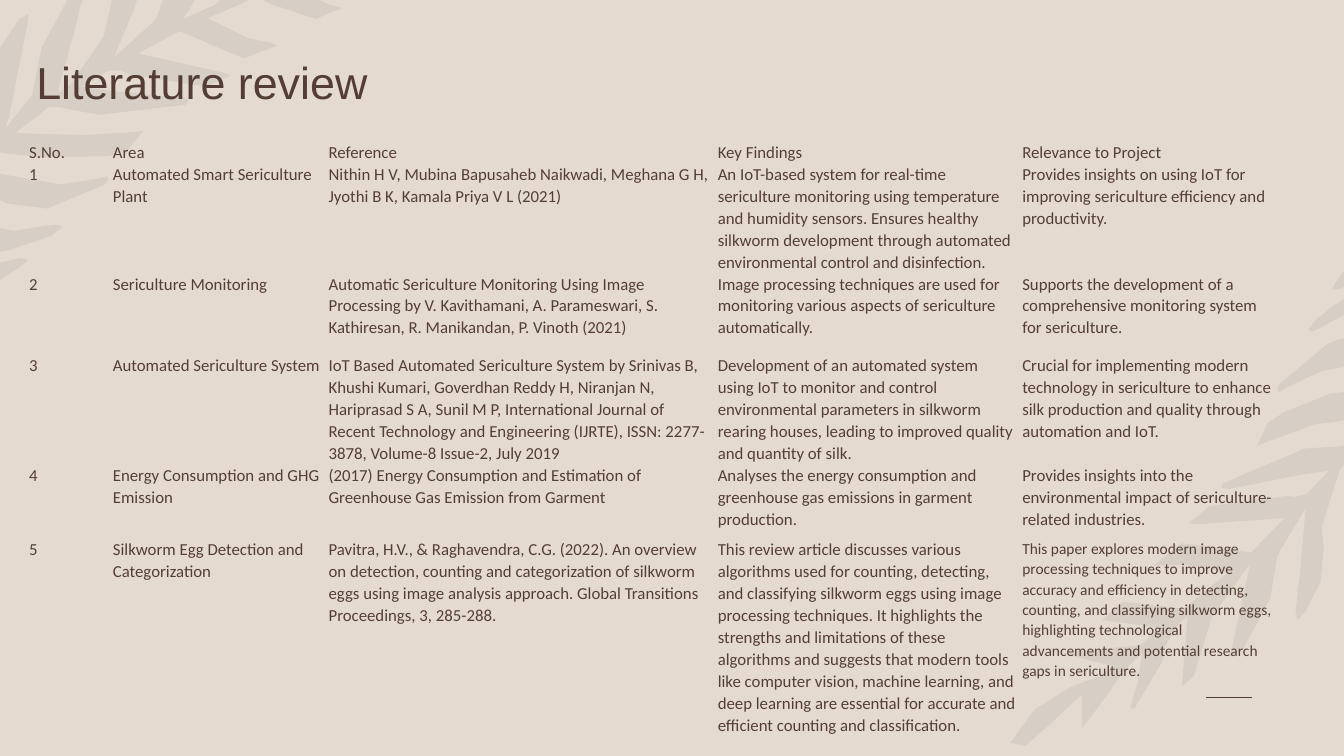
import dataclasses

import pptx
import pptx.dml.color
import pptx.enum.shapes
import pptx.enum.text
import pptx.oxml
import pptx.oxml.ns
import pptx.util


@dataclasses.dataclass(frozen=True)
class Theme:
    background: str = "E5DACF"
    ink: str = "543E34"
    leaf: str = "5D6A76"
    leaf_opacity: int = 10
    title_font: str = "Arial"
    body_font: str = "Calibri"
    title_size: int = 32
    body_size: int = 12
    small_size: int = 11
    rule_width: float = 1.25


THEME = Theme()
NO_STYLE_NO_GRID = "{2D5ABB26-0587-4C30-8999-92F81FD0307C}"

# Leaf outlines: x,y anchors in hundredths of an inch on the slide
TOP_LEFT_LEAVES = [
    "19,256 28,258 20,265 1,277 0,277 0,260 3,260",
    "56,223 60,224 61,226 51,234 9,248 0,250 0,226 13,229 53,223",
    "0,172 3,173 15,175 60,183 99,177 107,175 107,179 104,183 47,207 7,202 0,199",
    "262,0 316,0 325,4 339,8 313,19 263,2",
    "66,0 82,0 79,9 76,23 58,88 59,91 70,84 103,36 108,14 111,0 136,0 133,9 113,57 154,20 162,0 "
    "193,0 188,9 181,19 213,5 218,0 247,0 232,7 206,18 246,38 266,42 275,45 242,58 178,31 137,53 "
    "163,59 221,72 229,75 204,86 128,74 120,70 108,70 81,86 109,90 181,97 188,99 184,104 98,114 "
    "56,106 49,106 15,132 82,134 136,131 142,130 127,149 108,155 39,156 5,152 0,151 0,48 1,46 "
    "19,19 28,14 28,19 19,66 9,116 5,128 32,94 41,48 66,1",
]
BOTTOM_RIGHT_LEAVES = [
    "1333,442 1333,461 1329,466 1311,522 1313,543 1310,577 1295,606 1287,615 1285,607 1289,572 "
    "1295,504 1267,551 1260,593 1233,644 1220,651 1240,559 1202,612 1184,671 1172,681 1175,647 "
    "1178,611 1170,618 1155,642 1153,656 1125,703 1121,702 1128,678 1133,648 1116,664 1094,695 "
    "1073,723 1073,689 1043,717 1017,740 1002,737 1026,704 1063,681 1090,671 1104,661 1053,648 "
    "1131,640 1151,623 1093,615 1114,597 1174,604 1218,568 1174,560 1153,561 1144,561 1172,539 "
    "1241,548 1274,514 1247,516 1188,520 1179,519 1200,502 1277,492 1285,493 1296,490 1318,467 "
    "1290,471 1220,485 1211,484 1214,479 1294,445 1326,443",
    "1333,389 1333,417 1321,419 1304,421 1252,440 1247,442 1257,420 1273,409 1321,390",
    "1333,336 1333,364 1311,368 1275,385 1268,389 1267,385 1269,381 1317,341 1330,336",
    "1333,297 1333,313 1332,313 1306,327 1300,329 1298,327 1305,317 1323,303",
    "1333,269 1333,284 1329,287 1321,287 1326,278",
]

COLUMN_WIDTHS = [0.83, 2.14, 3.86, 3.02, 2.59]
ROW_HEIGHTS = [0.2, 1.01, 0.81, 1.01, 0.74, 2.02]
REVIEW = [
    ("S.No.", "Area", "Reference", "Key Findings", "Relevance to Project"),
    ("1", "Automated Smart Sericulture Plant",
     "Nithin H V, Mubina Bapusaheb Naikwadi, Meghana G H, Jyothi B K, Kamala Priya V L (2021)",
     "An IoT-based system for real-time sericulture monitoring using temperature and humidity sensors. "
     "Ensures healthy silkworm development through automated environmental control and disinfection.",
     "Provides insights on using IoT for improving sericulture efficiency and productivity."),
    ("2", "Sericulture Monitoring",
     "Automatic Sericulture Monitoring Using Image Processing by V. Kavithamani, A. Parameswari, "
     "S. Kathiresan, R. Manikandan, P. Vinoth (2021)",
     "Image processing techniques are used for monitoring various aspects of sericulture automatically.",
     "Supports the development of a comprehensive monitoring system for sericulture."),
    ("3", "Automated Sericulture System",
     "IoT Based Automated Sericulture System by Srinivas B, Khushi Kumari, Goverdhan Reddy H, "
     "Niranjan N, Hariprasad S A, Sunil M P, International Journal of Recent Technology and "
     "Engineering (IJRTE), ISSN: 2277-3878, Volume-8 Issue-2, July 2019",
     "Development of an automated system using IoT to monitor and control environmental parameters "
     "in silkworm rearing houses, leading to improved quality and quantity of silk.",
     "Crucial for implementing modern technology in sericulture to enhance silk production and "
     "quality through automation and IoT."),
    ("4", "Energy Consumption and GHG Emission",
     "(2017) Energy Consumption and Estimation of Greenhouse Gas Emission from Garment",
     "Analyses the energy consumption and greenhouse gas emissions in garment production.",
     "Provides insights into the environmental impact of sericulture-related industries."),
    ("5", "Silkworm Egg Detection and Categorization",
     "Pavitra, H.V., & Raghavendra, C.G. (2022). An overview on detection, counting and categorization "
     "of silkworm eggs using image analysis approach. Global Transitions Proceedings, 3, 285-288.",
     "This review article discusses various algorithms used for counting, detecting, and classifying "
     "silkworm eggs using image processing techniques. It highlights the strengths and limitations of "
     "these algorithms and suggests that modern tools like computer vision, machine learning, and deep "
     "learning are essential for accurate and efficient counting and classification.",
     "This paper explores modern image processing techniques to improve accuracy and efficiency in "
     "detecting, counting, and classifying silkworm eggs, highlighting technological advancements and "
     "potential research gaps in sericulture."),
]


def inches(*lengths):
    return [pptx.util.Inches(length) for length in lengths]


def rgb(code):
    return pptx.dml.color.RGBColor.from_string(code)


def format_runs(paragraph, font_name, size):
    for run in paragraph.runs:
        run.font.name = font_name
        run.font.size = pptx.util.Pt(size)
        run.font.color.rgb = rgb(THEME.ink)


def add_leaves(slide, outlines):
    contours = [[tuple(map(int, anchor.split(","))) for anchor in outline.split()] for outline in outlines]
    builder = slide.shapes.build_freeform(*contours[0][0], scale=pptx.util.Inches(0.01))
    for index, contour in enumerate(contours):
        if index:
            builder.move_to(*contour[0])
        builder.add_line_segments(contour[1:], close=True)
    leaves = builder.convert_to_shape()
    leaves.shadow.inherit = False
    leaves.line.fill.background()
    leaves.fill.solid()
    leaves.fill.fore_color.rgb = rgb(THEME.leaf)
    color = leaves.element.xpath(".//p:spPr/a:solidFill/a:srgbClr")[0]
    alpha = pptx.oxml.parse_xml(f'<a:alpha {pptx.oxml.ns.nsdecls("a")} val="{THEME.leaf_opacity * 1000}"/>')
    color.append(alpha)


def add_corner_rule(slide, left, top, width):
    rule = slide.shapes.add_connector(pptx.enum.shapes.MSO_CONNECTOR.STRAIGHT,
                                      *inches(left, top, left + width, top))
    rule.line.color.rgb = rgb(THEME.ink)
    rule.line.width = pptx.util.Pt(THEME.rule_width)
    no_effects = pptx.oxml.parse_xml(f'<a:effectLst {pptx.oxml.ns.nsdecls("a")}/>')
    rule.element.spPr.append(no_effects)


def place_title(slide, left, top, width, height):
    title = slide.shapes.title
    title.left, title.top, title.width, title.height = inches(left, top, width, height)
    title.element.getparent().append(title.element)  # in front of the leaves
    frame = title.text_frame
    frame.text = "Literature review"
    frame.auto_size = pptx.enum.text.MSO_AUTO_SIZE.NONE
    frame.vertical_anchor = pptx.enum.text.MSO_ANCHOR.BOTTOM
    heading = frame.paragraphs[0]
    heading.alignment = pptx.enum.text.PP_ALIGN.LEFT
    heading.line_spacing = 0.9
    format_runs(heading, THEME.title_font, THEME.title_size)


def fill_cell(cell, wording, size):
    cell.fill.background()
    cell.margin_left = cell.margin_right = pptx.util.Inches(0.03)
    cell.margin_top = cell.margin_bottom = 0
    cell.text_frame.text = wording
    paragraph = cell.text_frame.paragraphs[0]
    paragraph.line_spacing = 1.07
    paragraph.space_after = pptx.util.Pt(8)
    format_runs(paragraph, THEME.body_font, size)


def add_review_table(slide, left, top):
    frame = slide.shapes.add_table(len(REVIEW), len(COLUMN_WIDTHS),
                                   *inches(left, top, sum(COLUMN_WIDTHS), sum(ROW_HEIGHTS)))
    frame.element.xpath(".//a:tableStyleId")[0].text = NO_STYLE_NO_GRID
    table = frame.table
    table.first_row = table.horz_banding = False
    for column, width in zip(table.columns, inches(*COLUMN_WIDTHS)):
        column.width = width
    for row, height, entries in zip(table.rows, inches(*ROW_HEIGHTS), REVIEW):
        row.height = height
        for cell, wording in zip(row.cells, entries):
            fill_cell(cell, wording, THEME.body_size)
    last_relevance = table.cell(len(REVIEW) - 1, len(COLUMN_WIDTHS) - 1)
    format_runs(last_relevance.text_frame.paragraphs[0], THEME.body_font, THEME.small_size)


def main():
    deck = pptx.Presentation()
    deck.slide_width, deck.slide_height = inches(13.33, 7.5)
    slide = deck.slides.add_slide(deck.slide_layouts.get_by_name("Title Only"))
    slide.background.fill.solid()
    slide.background.fill.fore_color.rgb = rgb(THEME.background)
    add_corner_rule(slide, 11.96, 6.92, 0.46)
    for outlines in (TOP_LEFT_LEAVES, BOTTOM_RIGHT_LEAVES):
        add_leaves(slide, outlines)
    place_title(slide, 0.26, 0.13, 11.33, 1)
    add_review_table(slide, 0.26, 1.4)
    deck.save("out.pptx")


if __name__ == "__main__":
    main()
